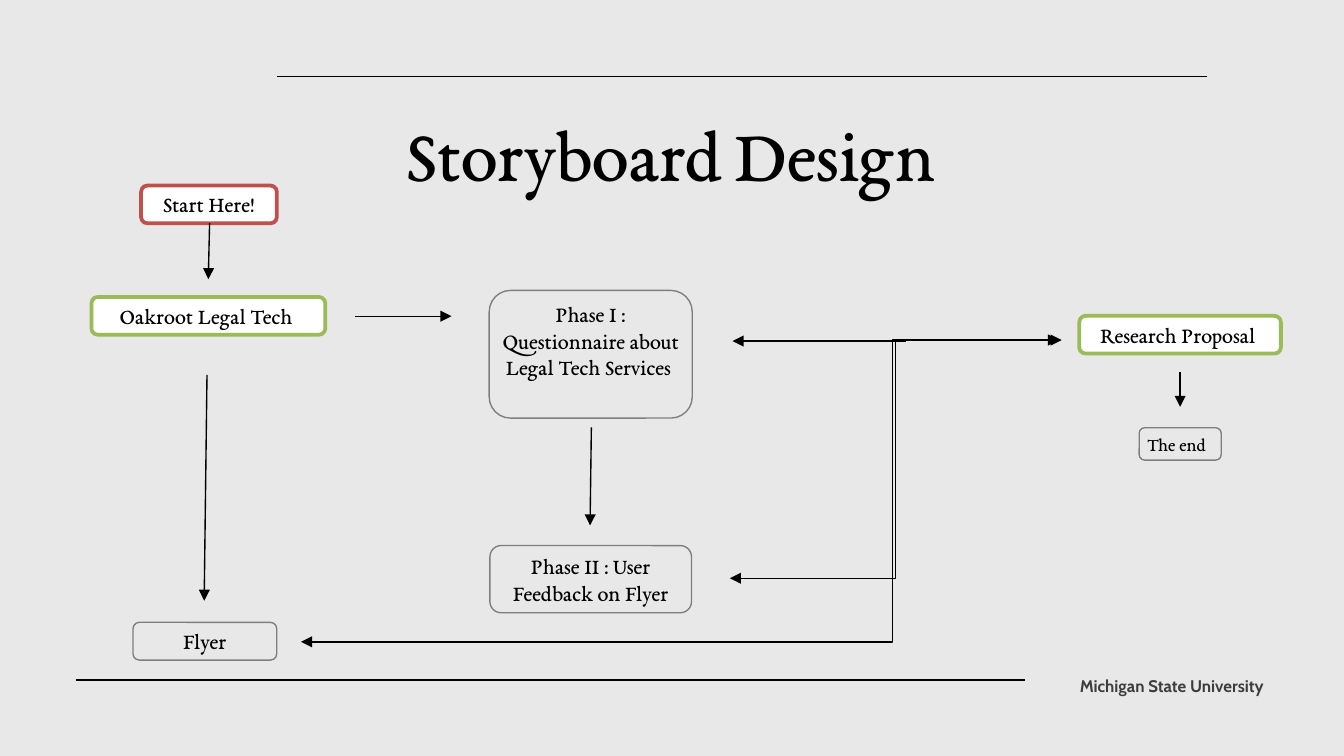
import pptx
import pptx.dml.color
import pptx.enum.dml
import pptx.enum.shapes
import pptx.enum.text
import pptx.oxml
import pptx.oxml.ns
import pptx.util

Pt = pptx.util.Pt
ALIGN = pptx.enum.text.PP_ALIGN
FIT = pptx.enum.text.MSO_AUTO_SIZE
LINK = pptx.enum.shapes.MSO_CONNECTOR
SERIF = "EB Garamond"
COLORS = {
    "back": "E8E8E8",
    "ink": "000000",
    "footer": "3D3D3D",
    "white": "FFFFFF",
    "green": "9BBB59",
    "red": "C0504D",
    "grey": "7F7F7F",
}
STEPS = [
    ("Oakroot Legal Tech ", (49, 159.1, 125.3, 20.2), "green"),
    ("Flyer", (71.3, 333.4, 77, 20.2), "grey"),
    ("Phase I : Questionnaire about Legal Tech Services ", (262.1, 155.6, 108.8, 68.4), "grey"),
    ("Phase II : User Feedback on Flyer", (262.5, 292.3, 108, 36), "grey"),
    ("Research Proposal ", (578.2, 169.2, 108, 20.2), "green"),
    ("Start Here!", (75.6, 99.4, 72.7, 20.2), "red"),
]
RULES = [(148.3, 41, 646.5, 41), (40.5, 364.3, 549, 364.3)]
ARROWS = [
    (316.8, 229, 316.1, 281.5),
    (485.3, 182.7, 392.4, 182.7),
    (112.3, 119.6, 111.6, 149.6),
    (632.2, 199.4, 632.2, 218),
    (190.1, 169.4, 241.9, 169.4),
    (110.9, 200.9, 109.4, 321.9),
]
ELBOWS = [((161.3, 343.9, 567.4, 182.2), 0.78), ((391, 309.8, 568.8, 182.2), 0.5)]


def rgb(name):
    """Return the named colour."""
    return pptx.dml.color.RGBColor.from_string(COLORS[name])


def apply(obj, values):
    """Set every attribute in values on obj."""
    for name, value in values.items():
        setattr(obj, name, value)


def add_run(p, text, size, font=SERIF, color="ink", bold=False):
    """Add a formatted run to a paragraph."""
    r = p.add_run()
    r.text = text
    apply(r.font, {"name": font, "size": Pt(size), "bold": bold})
    r.font.color.rgb = rgb(color)


def set_frame(sp, x_inset, y_inset, align, fit=FIT.NONE):
    """Prepare the text frame of a shape and return its paragraph."""
    tf = sp.text_frame
    apply(tf, {
        "margin_left": Pt(x_inset), "margin_right": Pt(x_inset),
        "margin_top": Pt(y_inset), "margin_bottom": Pt(y_inset),
        "word_wrap": True, "auto_size": fit,
        "vertical_anchor": pptx.enum.text.MSO_ANCHOR.TOP,
    })
    p = tf.paragraphs[0]
    p.alignment = align
    return p


def add_step(s, text, box, line, size=12, align=ALIGN.CENTER):
    """Add a rounded step box; coloured ones are white with a thick border."""
    kind = pptx.enum.shapes.MSO_SHAPE.ROUNDED_RECTANGLE
    sp = s.shapes.add_shape(kind, *map(Pt, box))
    sp.shadow.inherit = False
    if line == "grey":
        sp.fill.background()
    else:
        sp.fill.solid()
        sp.fill.fore_color.rgb = rgb("white")
    sp.line.color.rgb = rgb(line)
    sp.line.width = Pt(0.75 if line == "grey" else 2)
    add_run(set_frame(sp, 3.4, 1.7, align), text, size)


def add_line(s, ends, heads=(), kind=LINK.STRAIGHT):
    """Add a black connector with triangles at the given ends."""
    sp = s.shapes.add_connector(kind, *map(Pt, ends))
    sp.line.color.rgb = rgb("ink")
    sp.line.width = Pt(0.75)
    ln = sp.line._get_or_add_ln()
    for head in heads:
        ln.append(pptx.oxml.parse_xml(
            f'<a:{head} {pptx.oxml.ns.nsdecls("a")} type="triangle"/>'))
    sp._element.spPr.append(
        pptx.oxml.parse_xml(f'<a:effectLst {pptx.oxml.ns.nsdecls("a")}/>'))
    return sp


def add_elbow(s, ends, bend):
    """Add a double-headed elbow that turns at a share of its width."""
    sp = add_line(s, ends, ("headEnd", "tailEnd"), LINK.ELBOW)
    geom = sp._element.spPr.find(pptx.oxml.ns.qn("a:prstGeom"))
    av = geom.find(pptx.oxml.ns.qn("a:avLst"))
    av.append(pptx.oxml.parse_xml(
        f'<a:gd {pptx.oxml.ns.nsdecls("a")} name="adj1" fmla="val {round(bend * 100000)}"/>'))


def add_title(s):
    """Add the slide title."""
    sp = s.shapes.add_textbox(*map(Pt, (193, 55.4, 333.4, 51.8)))
    p = set_frame(sp, 3.4, 1.7, ALIGN.CENTER, FIT.SHAPE_TO_FIT_TEXT)
    for text, size in (("Storyboard", 40), (" ", 30), ("Design", 40)):
        add_run(p, text, size)


def add_footer(s):
    """Add the university name at the bottom right."""
    sp = s.shapes.add_textbox(*map(Pt, (563, 356.4, 116, 10.8)))
    p = set_frame(sp, 0, 0, ALIGN.RIGHT, FIT.SHAPE_TO_FIT_TEXT)
    p.line_spacing = 1.5
    add_run(p, "Michigan State University ", 9, "Cabin", "footer", True)


def main():
    """Build the storyboard slide."""
    prs = pptx.Presentation()
    apply(prs, {"slide_width": Pt(720), "slide_height": Pt(405)})
    s = prs.slides.add_slide(prs.slide_layouts[6])
    s.background.fill.solid()
    s.background.fill.fore_color.rgb = rgb("back")
    for ends in RULES:
        add_line(s, ends)
    add_footer(s)
    add_title(s)
    for text, box, line in STEPS:
        add_step(s, text, box, line)
    add_step(s, "The end", (610.3, 229.2, 43.9, 17.3), "grey", 10, ALIGN.LEFT)
    for ends, bend in ELBOWS:
        add_elbow(s, ends, bend)
    for ends in ARROWS:
        add_line(s, ends, ("tailEnd",))
    prs.save("out.pptx")


if __name__ == "__main__":
    main()
